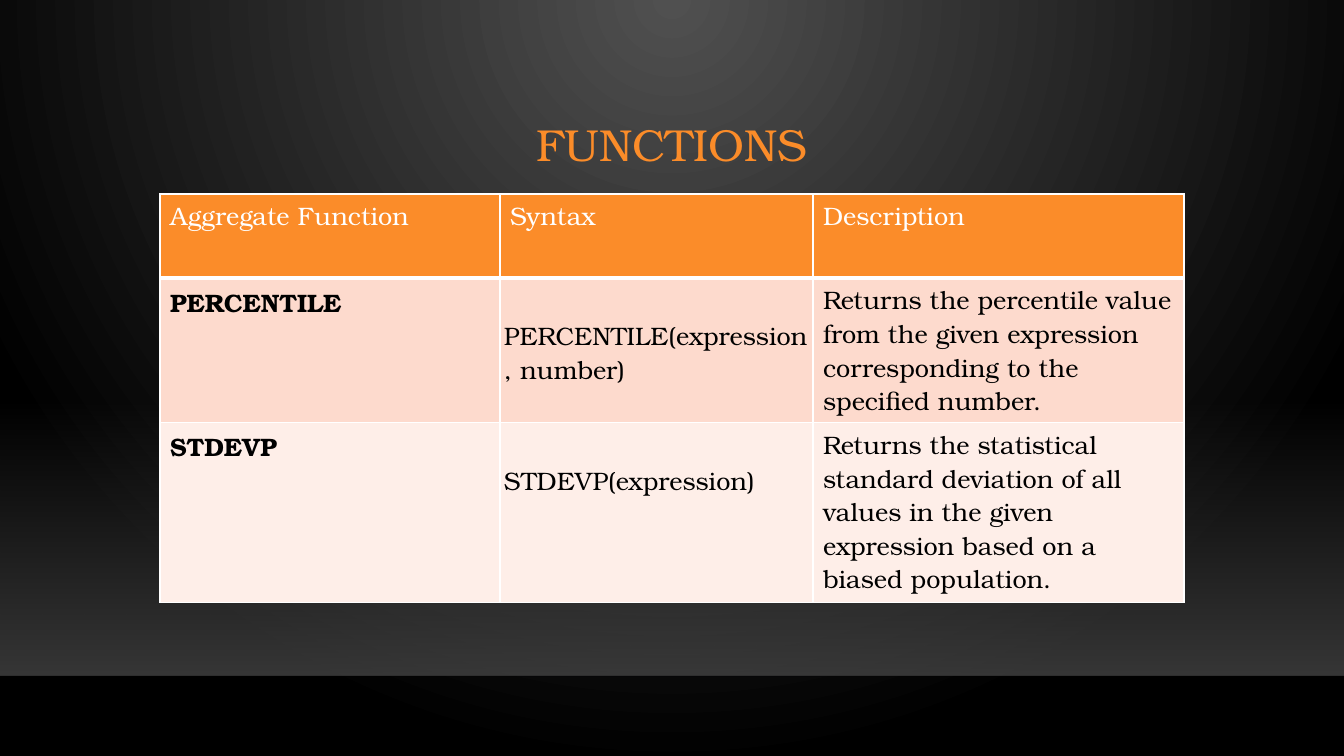
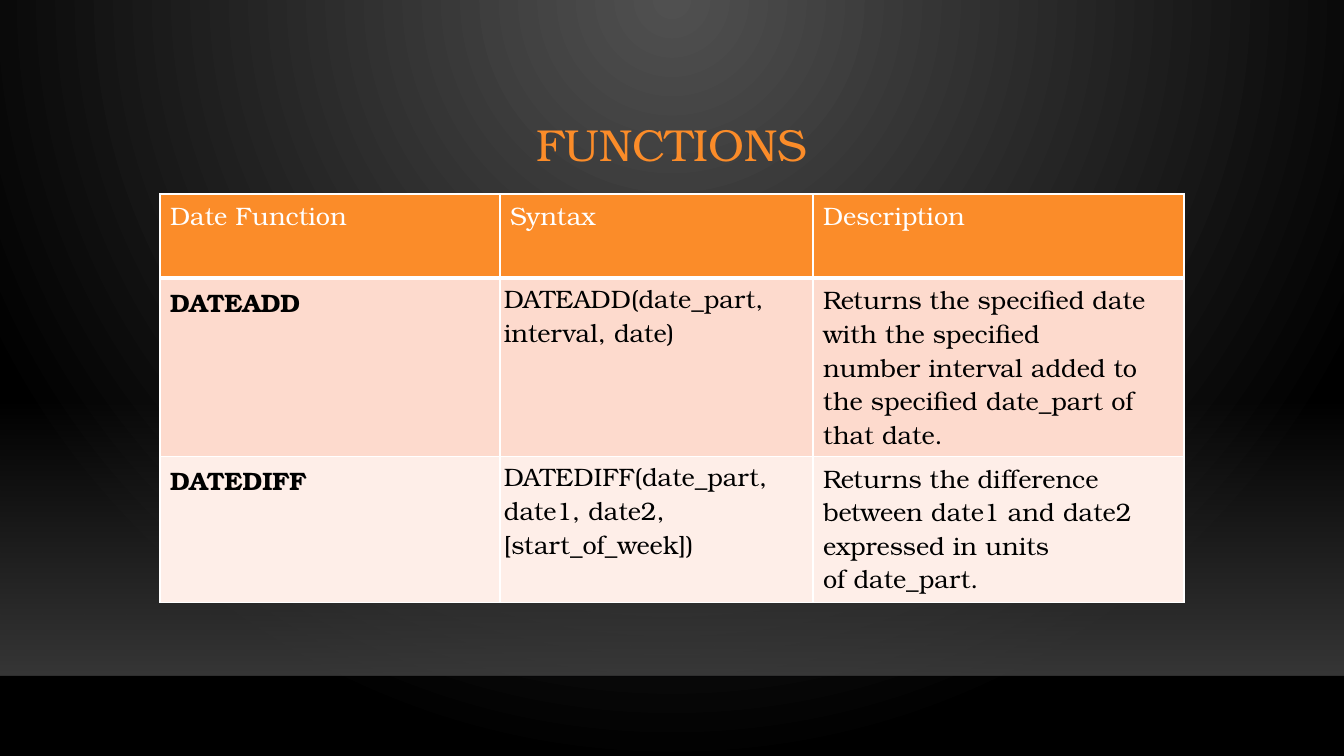
from lxml import etree
from pptx import Presentation
from pptx import util as u
from pptx.dml.color import RGBColor
from pptx.enum import shapes, text
from pptx.oxml.ns import qn

EMU_PER_PX = 914400 / 100.8
SLIDE_W, SLIDE_H = 1344, 756
FONT = "TeX Gyre Bonum"
ORANGE, WHITE, BLACK = "FB8C29", "FFFFFF", "000000"
ROW_FILLS = [ORANGE, "FDDACD", "FEEEE8"]
LEFT, WIDTH = 160, 1024
TABLE_TOP = 194
COLUMN_WIDTHS = [340, 313, 371]
SYNTAX_COLUMN = 1
SYNTAX_MARGIN = 4
FLOOR_TOP, FLOOR_BOTTOM = 399, 676

# Each slide: row heights, extra space above the syntax text, table rows
SLIDES = [
    ([84, 144, 180], 37, [
        ["Aggregate Function", "Syntax", "Description"],
        ["PERCENTILE", "PERCENTILE(expression, number)",
         "Returns the percentile value from the given expression "
         "corresponding to the specified number."],
        ["STDEVP", "STDEVP(expression)",
         "Returns the statistical standard deviation of all values in the "
         "given expression based on a biased population."],
    ]),
    ([84, 178, 146], 0, [
        ["Date Function", "Syntax", "Description"],
        ["DATEADD", "DATEADD(date_part, interval, date)",
         "Returns the specified date with the specified "
         "number\u00a0interval\u00a0added to the specified\u00a0date_part\u00a0of that date."],
        ["DATEDIFF", "DATEDIFF(date_part, date1, date2, [start_of_week])",
         "Returns the difference between\u00a0date1\u00a0and\u00a0date2 "
         "expressed in units of\u00a0date_part."],
    ]),
]


def px(length):
    """Convert pixels to EMU."""
    return u.Emu(round(length * EMU_PER_PX))


def rgb(value):
    """Turn a hex string into a colour."""
    return RGBColor.from_string(value)


def add_xml(parent, tag, **attributes):
    """Append a DrawingML element and return it."""
    return etree.SubElement(parent, qn(tag), attributes)


def set_alpha(colour_parent, percent):
    """Set the opacity of the colour inside an element."""
    add_xml(colour_parent.find(".//" + qn("a:srgbClr")), "a:alpha", val=str(percent * 1000))


def set_gradient(fill, first, last):
    """Give a fill a two-stop gradient."""
    fill.gradient()
    for stop, position, colour in zip(fill.gradient_stops, (0, 1), (first, last)):
        stop.position = position
        stop.color.rgb = rgb(colour)


def set_background(master):
    """Give the master a glow that spreads from the top centre."""
    set_gradient(master.background.fill, "505050", BLACK)
    gradient = master.element.find(".//" + qn("a:gradFill"))
    gradient.remove(gradient.find(qn("a:lin")))
    glow = add_xml(gradient, "a:path", path="circle")
    add_xml(glow, "a:fillToRect", l="43000", t="0", r="43000", b="100000")


def add_floor(slide):
    """Draw the fading floor band and its lower edge."""
    floor = slide.shapes.add_shape(shapes.MSO_SHAPE.RECTANGLE, 0, px(FLOOR_TOP),
                                   px(SLIDE_W), px(FLOOR_BOTTOM - FLOOR_TOP))
    floor.shadow.inherit = False
    floor.line.fill.background()
    set_gradient(floor.fill, "454545", "454545")
    floor.fill.gradient_angle = 270
    for stop, opacity in zip(floor.element.iter(qn("a:gs")), (0, 80)):
        set_alpha(stop, opacity)

    edge = slide.shapes.add_connector(shapes.MSO_CONNECTOR.STRAIGHT, 0, px(FLOOR_BOTTOM),
                                      px(SLIDE_W), px(FLOOR_BOTTOM))
    edge.line.color.rgb = rgb("000001")
    edge.line.width = u.Pt(1)
    set_alpha(edge.element.spPr, 20)
    add_xml(edge.element.spPr, "a:effectLst")


def add_text(frame, words, size, colour, bold=False):
    """Write one run in the first paragraph and return the paragraph."""
    frame.word_wrap = True
    paragraph = frame.paragraphs[0]
    run = paragraph.add_run()
    run.text = words
    run.font.name = FONT
    run.font.size = u.Pt(size)
    run.font.bold = bold
    run.font.color.rgb = rgb(colour)
    return paragraph


def set_title(slide, words):
    """Place and format the title."""
    title = slide.shapes.title
    title.left, title.top, title.width, title.height = map(px, (LEFT, 89, WIDTH, 116))
    title.text_frame.vertical_anchor = text.MSO_ANCHOR.MIDDLE
    paragraph = add_text(title.text_frame, words, 32, ORANGE)
    paragraph.alignment = text.PP_ALIGN.CENTER
    paragraph.line_spacing = 0.9


def set_borders(cell, row):
    """Draw white cell borders, heavier below the header."""
    widths = {"L": 1, "R": 1, "T": 3 if row == 1 else 1, "B": 3 if row == 0 else 1}
    properties = cell._tc.get_or_add_tcPr()
    for side, width in widths.items():
        border = add_xml(properties, "a:ln" + side, w=str(u.Pt(width)))
        add_xml(add_xml(border, "a:solidFill"), "a:srgbClr", val=WHITE)


def add_function_table(slide, heights, syntax_drop, rows):
    """Add the table of functions with their syntax and description."""
    table = slide.shapes.add_table(len(rows), len(COLUMN_WIDTHS), px(LEFT), px(TABLE_TOP),
                                   px(WIDTH), px(sum(heights))).table
    for column, width in zip(table.columns, COLUMN_WIDTHS):
        column.width = px(width)
    for r, (height, entries) in enumerate(zip(heights, rows)):
        table.rows[r].height = px(height)
        for c, words in enumerate(entries):
            cell = table.cell(r, c)
            set_borders(cell, r)
            cell.fill.solid()
            cell.fill.fore_color.rgb = rgb(ROW_FILLS[r])
            add_text(cell.text_frame, words, 18, BLACK if r else WHITE, bold=r > 0 and c == 0)
            if r and c == SYNTAX_COLUMN:
                cell.margin_left = cell.margin_right = cell.margin_bottom = px(SYNTAX_MARGIN)
                cell.margin_top = px(SYNTAX_MARGIN + syntax_drop)


def main():
    """Build and save the presentation."""
    deck = Presentation()
    deck.slide_width, deck.slide_height = px(SLIDE_W), px(SLIDE_H)
    set_background(deck.slide_master)
    for heights, syntax_drop, rows in SLIDES:
        slide = deck.slides.add_slide(deck.slide_layouts[5])
        add_floor(slide)
        set_title(slide, "FUNCTIONS")
        add_function_table(slide, heights, syntax_drop, rows)
    deck.save("out.pptx")


main()
